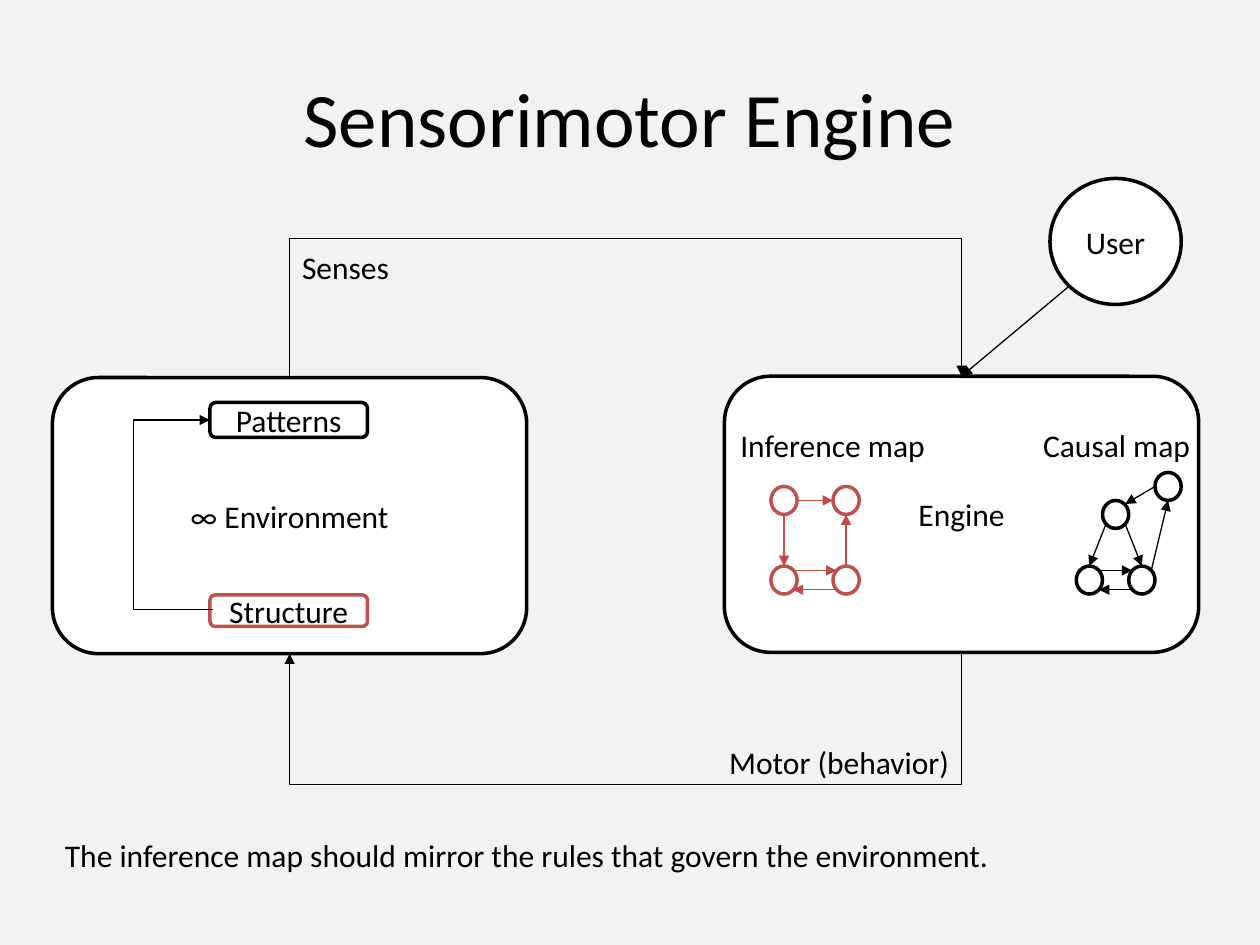
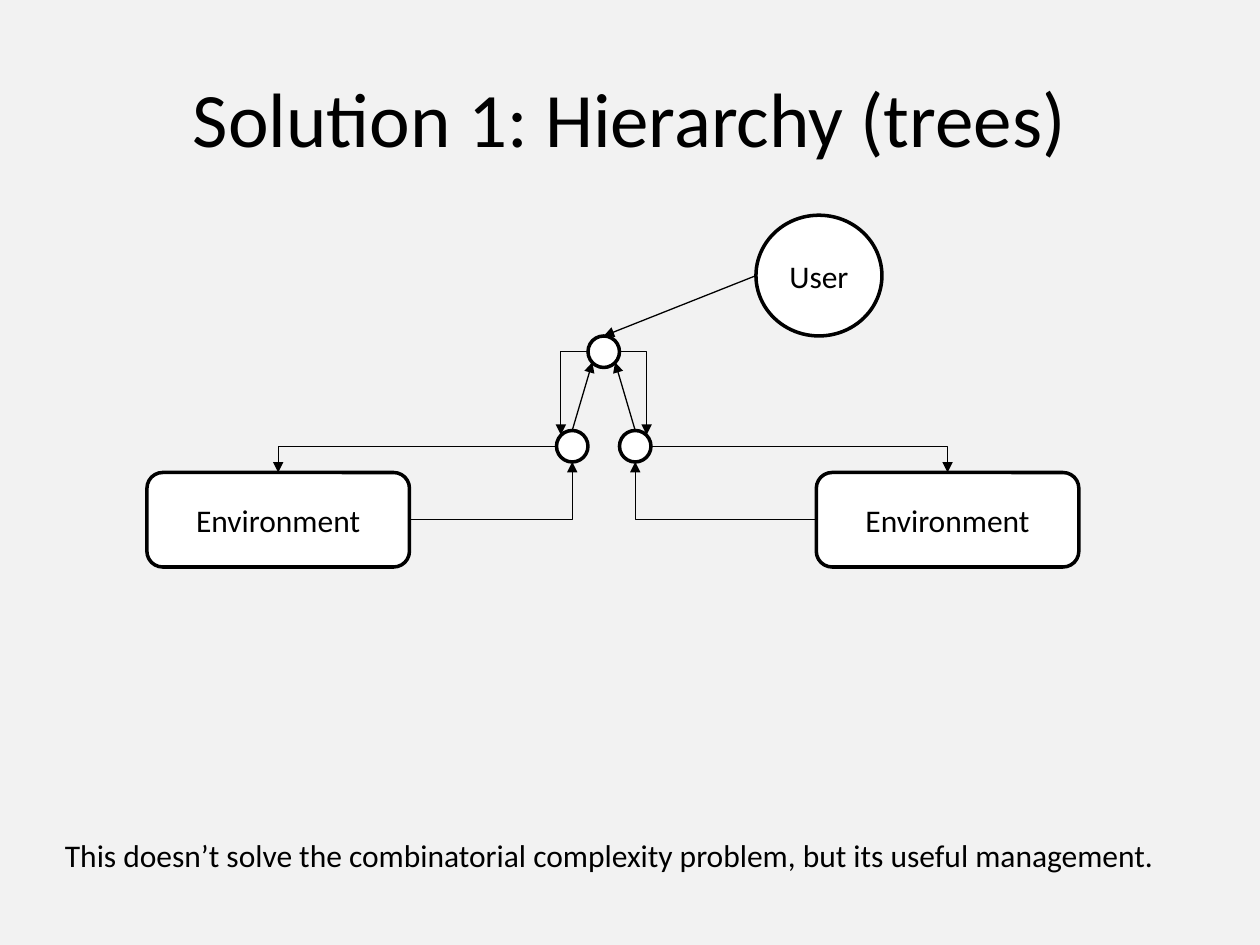
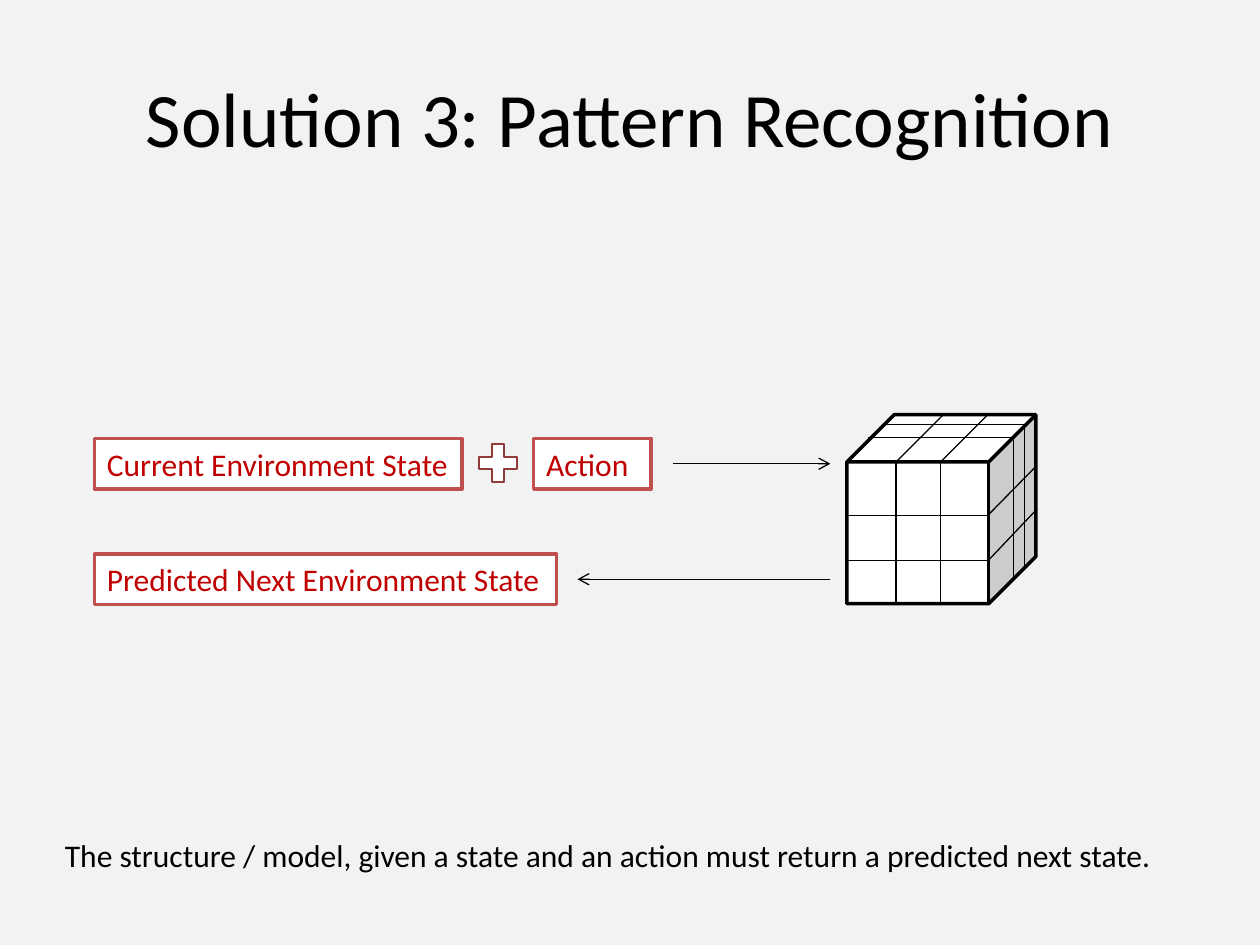
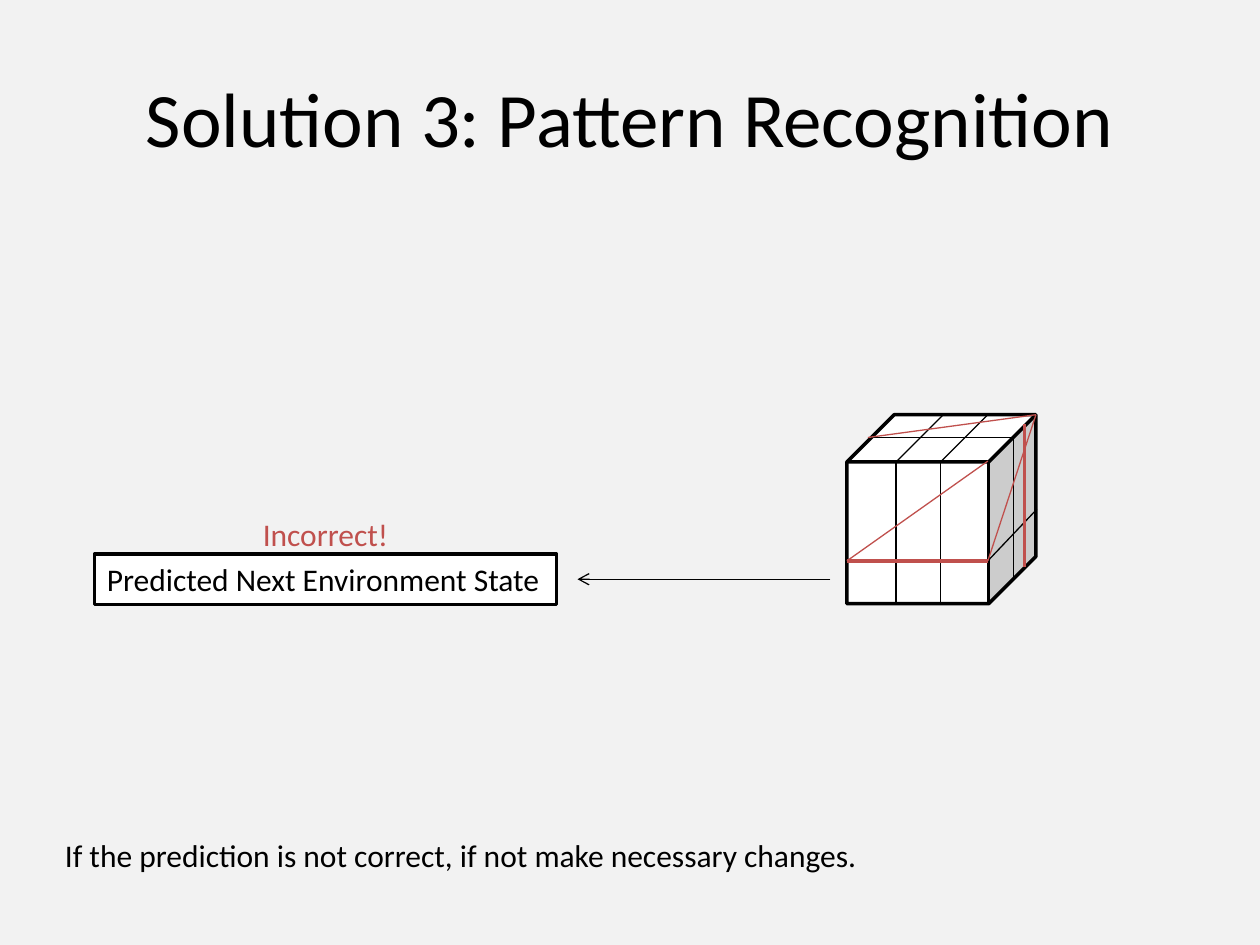
from dataclasses import dataclass

from lxml import etree
from pptx import Presentation
from pptx.dml.color import RGBColor
from pptx.enum.shapes import MSO_CONNECTOR, MSO_SHAPE
from pptx.enum.text import MSO_ANCHOR, MSO_AUTO_SIZE, PP_ALIGN
from pptx.oxml.ns import qn
from pptx.util import Pt

STRAIGHT, ELBOW = MSO_CONNECTOR.STRAIGHT, MSO_CONNECTOR.ELBOW
ROUNDED, RECTANGLE, OVAL = MSO_SHAPE.ROUNDED_RECTANGLE, MSO_SHAPE.RECTANGLE, MSO_SHAPE.OVAL
JOINT, CUBE, PLUS = MSO_SHAPE.FLOWCHART_CONNECTOR, MSO_SHAPE.CUBE, MSO_SHAPE.MATH_PLUS
LEFT, CENTER, RIGHT = PP_ALIGN.LEFT, PP_ALIGN.CENTER, PP_ALIGN.RIGHT
TOP, MIDDLE = MSO_ANCHOR.TOP, MSO_ANCHOR.MIDDLE
GROW, FIXED = MSO_AUTO_SIZE.SHAPE_TO_FIT_TEXT, MSO_AUTO_SIZE.NONE
TOP_SIDE = 0


@dataclass(frozen=True)
class Theme:
    font: str = "Calibri"
    title_size: float = 44
    body_size: float = 18
    outline: float = 2
    thin: float = 0.75
    background: str = "F2F2F2"
    ink: str = "000000"
    paper: str = "FFFFFF"
    accent: str = "C0504D"
    accent_arrow: str = "BF4C48"
    accent_text: str = "C00000"
    plus_line: str = "8E3B39"


THEME = Theme()


class Deck:
    def __init__(self, theme):
        self.theme = theme
        self.slide = None
        self.prs = Presentation()
        self.prs.slide_width, self.prs.slide_height = Pt(720), Pt(540)
        backdrop = self.prs.slide_master.background.fill
        backdrop.solid()
        backdrop.fore_color.rgb = RGBColor.from_string(theme.background)

    def new_slide(self, title, conclusion):
        self.slide = self.prs.slides.add_slide(self.prs.slide_layouts[6])
        self.label(title, 36, 21.6, 648, 90, align=CENTER, anchor=MIDDLE,
                   size=self.theme.title_size, grow=FIXED)
        self.label(conclusion, 30, 474, 660, 29)

    def set_text(self, shape, text, color, align, anchor, grow, size=None, wrap=True):
        frame = shape.text_frame
        frame_format = {"word_wrap": wrap, "auto_size": grow, "vertical_anchor": anchor}
        for name, value in frame_format.items():
            setattr(frame, name, value)
        paragraph = frame.paragraphs[0]
        paragraph.alignment = align
        run = paragraph.add_run()
        run.text = text
        font_format = {"name": self.theme.font, "size": Pt(size or self.theme.body_size)}
        for name, value in font_format.items():
            setattr(run.font, name, value)
        run.font.color.rgb = RGBColor.from_string(color or self.theme.ink)

    def label(self, text, left, top, width, height, color=None, align=LEFT,
              anchor=TOP, size=None, grow=GROW, wrap=True):
        box = self.slide.shapes.add_textbox(Pt(left), Pt(top), Pt(width), Pt(height))
        self.set_text(box, text, color, align, anchor, grow, size, wrap)

    def shape(self, kind, left, top, width, height, text="", line=None, weight=None,
              color=None, align=CENTER, anchor=MIDDLE, grow=FIXED):
        shape = self.slide.shapes.add_shape(kind, Pt(left), Pt(top), Pt(width), Pt(height))
        shape.shadow.inherit = False
        shape.fill.solid()
        shape.fill.fore_color.rgb = RGBColor.from_string(self.theme.paper)
        shape.line.color.rgb = RGBColor.from_string(line or self.theme.ink)
        shape.line.width = Pt(weight or self.theme.outline)
        if text:
            self.set_text(shape, text, color, align, anchor, grow)
        return shape

    def state_box(self, text, left, top, width, line, color):
        self.shape(RECTANGLE, left, top, width, 29, text, line=line, color=color,
                   align=LEFT, anchor=TOP, grow=GROW)

    def line(self, start, end, color=None, weight=None, head=None, kind=STRAIGHT):
        link = self.slide.shapes.add_connector(kind, *(Pt(v) for v in (*start, *end)))
        link.line.color.rgb = RGBColor.from_string(color or self.theme.ink)
        link.line.width = Pt(weight or self.theme.thin)
        properties = link._element.spPr
        if head:
            etree.SubElement(properties.find(qn("a:ln")), qn("a:tailEnd"), type=head)
        etree.SubElement(properties, qn("a:effectLst"))
        return link

    def arrow(self, start, end, color=None, head="triangle"):
        return self.line(start, end, color, head=head)

    def corner(self, start, end):
        link = self.line(start, end, head="triangle", kind=ELBOW)
        link._element.spPr.find(qn("a:prstGeom")).set("prst", "bentConnector2")

    def loop(self, start, end, via_x=None, via_y=None):
        (x1, y1), (x2, y2) = start, end
        if via_y is None:
            reach = (via_x - x1) / (x2 - x1)
            link = self.line(start, end, head="triangle", kind=ELBOW)
        else:
            reach = (via_y - y1) / (y2 - y1)
            mid_x, mid_y = (x1 + x2) / 2, (y1 + y2) / 2
            across, down = (y1 - y2) / 2, (x2 - x1) / 2
            link = self.line((mid_x + across, mid_y + down), (mid_x - across, mid_y - down),
                             head="triangle", kind=ELBOW)
            link._element.spPr.find(qn("a:xfrm")).set("rot", "5400000")
        guides = link._element.spPr.find(qn("a:prstGeom")).find(qn("a:avLst"))
        etree.SubElement(guides, qn("a:gd"), name="adj1", fmla=f"val {round(reach * 100000)}")

    def node_map(self, nodes, arrows, line=None, arrow_color=None):
        for left, top in nodes:
            self.shape(JOINT, left, top, 15, 16, line=line)
        for start, end in arrows:
            self.arrow(start, end, arrow_color)

    def cube(self):
        self.shape(CUBE, 484, 237, 108, 108)
        for x in (512, 537.5):
            self.line((x, 264), (x, 345))
            self.line((x, 264), (x + 27, 237))
        self.line((564.5, 320.5), (592.5, 291))
        self.line((496, 250), (578, 250))
        self.line((579, 331), (579, 250))

    def save(self):
        self.prs.save("out.pptx")


def sensorimotor_engine(deck):
    theme = deck.theme
    deck.new_slide("Sensorimotor Engine",
                   "The inference map should mirror the rules that govern the environment.")
    engine = deck.shape(ROUNDED, 414, 215, 271, 157.75, "Engine")
    deck.shape(ROUNDED, 30, 215.75, 271, 157.75, "∞ Environment")
    deck.loop((165.5, 215.75), (549.5, 215), via_y=135)
    deck.loop((549.5, 372.75), (165.5, 373.5), via_y=449.5)
    deck.label("Senses", 165.5, 138, 162, 29)
    deck.label("Motor (behavior)", 327.5, 421, 222, 29, align=RIGHT)

    deck.label("Causal map", 589, 240, 108, 29)
    deck.node_map(
        [(630, 286), (645, 323.5), (615, 323.5), (660, 270)],
        [((643, 299.5), (652.5, 323.5)), ((632, 299.5), (622.5, 323.5)),
         ((628, 326), (647, 326)), ((647, 337), (628, 337)),
         ((658, 325.5), (667.5, 286)), ((660, 278), (643, 288))])
    deck.label("Inference map", 416, 240, 133, 29)
    deck.node_map(
        [(x, y) for x in (440.5, 476) for y in (278, 323.5)],
        [((455.5, 286), (476, 286)), ((448, 294), (448, 323.5)),
         ((453, 326), (478, 326)), ((478, 337), (453, 337)),
         ((483.5, 323.5), (483.5, 294))],
        theme.accent, theme.accent_arrow)

    user_link = deck.arrow((611, 163.5), (549.5, 215))
    user_link.end_connect(engine, TOP_SIDE)
    deck.shape(JOINT, 600, 102, 75, 72, "User")

    deck.shape(ROUNDED, 120, 340, 90, 18, "Structure", line=theme.accent)
    deck.shape(ROUNDED, 120, 230, 90, 20, "Patterns")
    deck.loop((121.5, 348.5), (120, 240), via_x=76.5)


def hierarchy(deck):
    deck.new_slide("Solution 1: Hierarchy (trees)",
                   "This doesn’t solve the combinatorial complexity problem, "
                   "but its useful management.")
    root_x = 345
    deck.shape(OVAL, root_x - 9, 192, 18, 18)
    for side, environment_left in ((-1, 84), (1, 466.5)):
        child_x = root_x + 18 * side
        environment_x = environment_left + 75
        deck.shape(OVAL, child_x - 9, 246, 18, 18)
        deck.shape(ROUNDED, environment_left, 270, 150, 54, "Environment")
        deck.corner((environment_x - 75 * side, 297), (child_x, 264))
        deck.arrow((child_x, 246), (root_x + 6.5 * side, 207))
        deck.corner((root_x + 9 * side, 201), (root_x + 24.5 * side, 248.5))
        deck.corner((child_x + 9 * side, 255), (environment_x, 270))
    deck.shape(OVAL, 432, 123, 72, 69, "User")
    deck.arrow((432, 157.5), (root_x, 192))


def prediction(deck, conclusion, line, color):
    deck.new_slide("Solution 3: Pattern Recognition", conclusion)
    deck.cube()
    deck.arrow((474.5, 331), (330, 331), head="arrow")
    deck.state_box("Predicted Next Environment State", 54, 316.5, 264, line, color)


def pattern_recognition(deck):
    theme = deck.theme
    prediction(deck, "The structure / model, given a state and an action "
                     "must return a predicted next state.", theme.accent, theme.accent_text)
    for y in (294.5, 320.5):
        deck.line((484, y), (564.5, y))
    deck.line((564.5, 294.5), (592, 266.5))
    deck.line((504, 242.5), (585.5, 242.5))
    deck.line((585.5, 324), (585.5, 242.5))
    deck.arrow((384.5, 265), (474.5, 265), head="arrow")
    for text, left, width in (("Current Environment State", 54, 210), ("Action", 305, 67)):
        deck.state_box(text, left, 250.5, width, theme.accent, theme.accent_text)
    deck.shape(PLUS, 270, 250, 29.5, 29.5, line=theme.plus_line, weight=1)


def wrong_prediction(deck):
    theme = deck.theme
    prediction(deck, "If the prediction is not correct, if not make necessary changes.",
               theme.ink, theme.ink)
    changes = [((484, 320.5), (564.5, 320.5), 2.25), ((484, 320.5), (564.5, 263.5), theme.thin),
               ((564.5, 320.5), (592, 237), theme.thin), ((496, 250), (592, 237), theme.thin),
               ((585.5, 324), (585.5, 242.5), 1.5)]
    for start, end, weight in changes:
        deck.line(start, end, theme.accent, weight)
    deck.label("Incorrect!", 142.5, 291, 87, 29, color=theme.accent, align=CENTER, wrap=False)


def main():
    deck = Deck(THEME)
    for build in (sensorimotor_engine, hierarchy, pattern_recognition, wrong_prediction):
        build(deck)
    deck.save()


if __name__ == "__main__":
    main()
